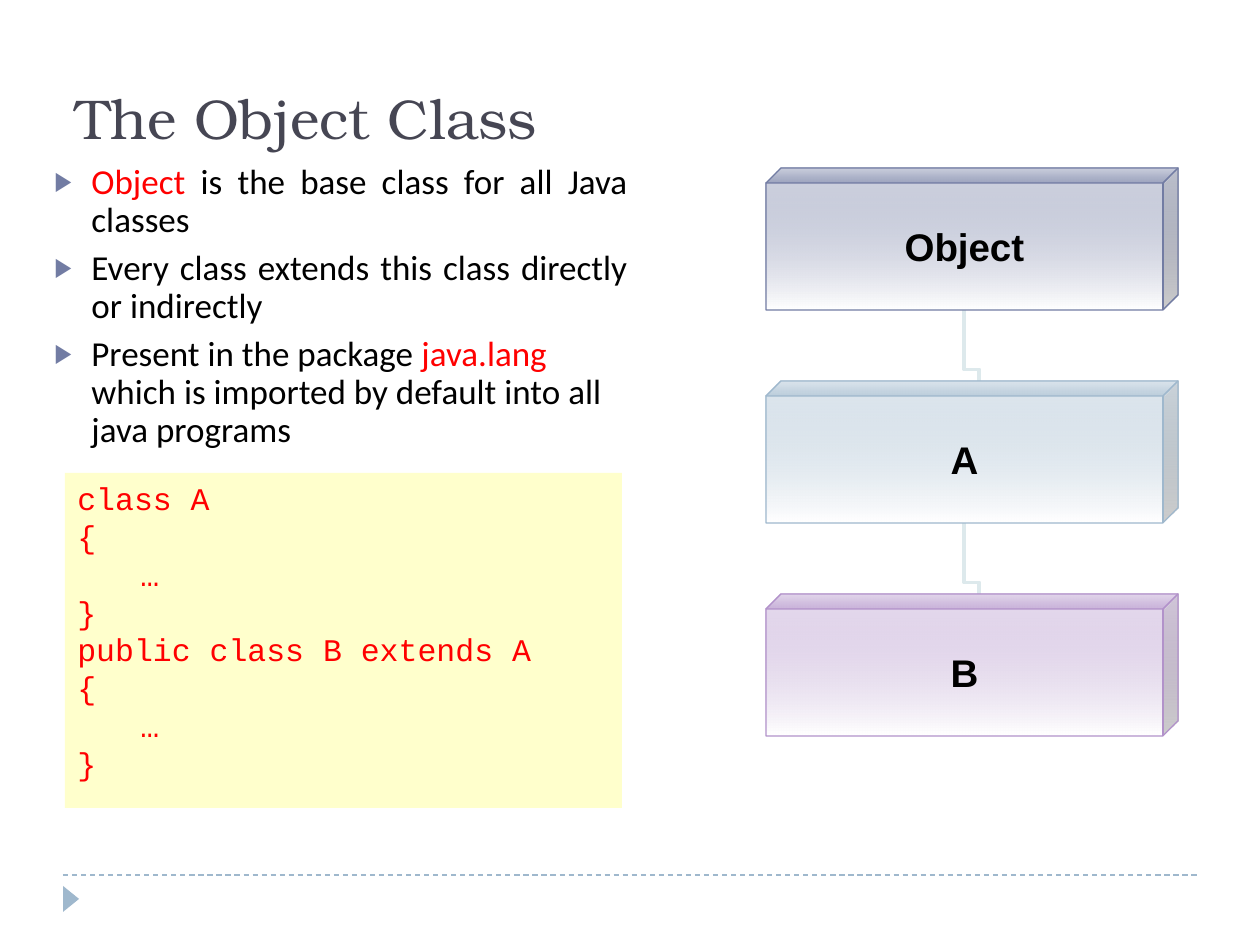
from lxml.etree import SubElement
from pptx import Presentation
from pptx.dml.color import RGBColor
from pptx.enum.dml import MSO_LINE
from pptx.enum.shapes import MSO_CONNECTOR as CONNECTOR, MSO_SHAPE as SHAPE
from pptx.enum.text import MSO_ANCHOR as ANCHOR, PP_ALIGN as ALIGN
from pptx.oxml.ns import qn
from pptx.util import Emu, Pt

PX = 914400 // 126
COLORS = {
    "title": "464653", "text": "000000", "keyword": "FF0000", "bullet": "727CA3",
    "code_bg": "FFFFCC", "footer": "9FB8CD", "link": "DDE9EC", "white": "FFFFFF",
    "object": "727CA3", "a": "9FB8CD", "b": "B292CA",
}

TITLE = "The Object Class"
# Each point: alignment, then (words, colour) runs
POINTS = [
    (ALIGN.JUSTIFY, [("Object", "keyword"), (" is the base class for all Java classes", "text")]),
    (ALIGN.JUSTIFY, [("Every class extends this class directly or indirectly", "text")]),
    (ALIGN.LEFT, [("Present in the package ", "text"), ("java.lang ", "keyword"),
                  ("which is imported by default into all java programs", "text")]),
]
CODE = ["class A", "{", "\t…", "}", "public class B extends A", "{", "\t…", "}"]
HIERARCHY = [("Object", "object"), ("A", "a"), ("B", "b")]

CUBE_LEFT, CUBE_TOP, CUBE_W, CUBE_H, CUBE_PITCH, DEPTH = 766, 168, 412, 142, 213, 15


def px(*lengths):
    return [Emu(round(n * PX)) for n in lengths]


def rgb(name):
    return RGBColor.from_string(COLORS[name])


def write(frame, paragraphs, font, size, bold=False, anchor=ANCHOR.TOP, wrap=True):
    """Fill a frame with (alignment, [(words, colour), ...]) paragraphs."""
    frame.word_wrap = wrap
    frame.vertical_anchor = anchor
    for i, (align, runs) in enumerate(paragraphs):
        paragraph = frame.paragraphs[0] if i == 0 else frame.add_paragraph()
        paragraph.alignment = align
        for words, color in runs:
            run = paragraph.add_run()
            run.text = words
            run.font.name = font
            run.font.size = Pt(size)
            run.font.bold = bold
            run.font.color.rgb = rgb(color)
    return frame


def add_bullet(paragraph):
    paragraph.line_spacing = 0.9
    paragraph.space_before = Pt(6)
    props = paragraph._p.get_or_add_pPr()
    indent = px(37)[0]
    props.set("marL", str(indent))
    props.set("indent", str(-indent))
    bullet_color = SubElement(props, qn("a:buClr"))
    SubElement(bullet_color, qn("a:srgbClr"), val=COLORS["bullet"])
    SubElement(props, qn("a:buSzPct"), val="76000")
    SubElement(props, qn("a:buFont"), typeface="Arial")
    SubElement(props, qn("a:buChar"), char="▶")


def add_shape(shapes, kind, box, fill=None):
    shape = shapes.add_shape(kind, *px(*box))
    shape.shadow.inherit = False
    if fill:
        shape.fill.solid()
        shape.fill.fore_color.rgb = rgb(fill)
        shape.line.fill.background()
    return shape


def add_line(shapes, kind, ends, color, width):
    line = shapes.add_connector(kind, *px(*ends))
    line.line.color.rgb = rgb(color)
    line.line.width = Pt(width)
    SubElement(line._element.spPr, qn("a:effectLst"))
    return line


def add_class_cube(shapes, name, color, top):
    cube = add_shape(shapes, SHAPE.CUBE, (CUBE_LEFT, top, CUBE_W, CUBE_H))
    cube.adjustments[0] = DEPTH / CUBE_H
    cube.fill.gradient()
    cube.fill.gradient_angle = 270
    for stop, position, stop_color in zip(cube.fill.gradient_stops, (0, 1), (color, "white")):
        stop.position = position
        stop.color.rgb = rgb(stop_color)
    tint = next(cube._element.spPr.iter(qn("a:srgbClr")))
    SubElement(tint, qn("a:alpha"), val="40000")
    cube.line.color.rgb = rgb(color)
    cube.line.width = Pt(0.75)
    frame = write(cube.text_frame, [(ALIGN.CENTER, [(name, "text")])], "Arial", 22,
                  bold=True, anchor=ANCHOR.MIDDLE, wrap=False)
    frame.margin_left = frame.margin_top = frame.margin_right = frame.margin_bottom = 0


def add_class_link(shapes, parent_top):
    """Bent line from the top of a child cube up to the bottom of its parent."""
    gap = CUBE_PITCH - CUBE_H
    middle_x = CUBE_LEFT + CUBE_W / 2
    middle_y = parent_top + CUBE_H + gap / 2
    # Laid out sideways, then turned a quarter
    ends = (middle_x + gap / 2, middle_y - DEPTH / 2, middle_x - gap / 2, middle_y + DEPTH / 2)
    link = add_line(shapes, CONNECTOR.ELBOW, ends, "link", 2.25)
    props = link._element.spPr
    props.find(qn("a:xfrm")).set("rot", "5400000")
    geometry = props.find(qn("a:prstGeom"))
    guides = geometry.find(qn("a:avLst"))
    SubElement(guides, qn("a:gd"), name="adj1", fmla="val 16200")


def main():
    deck = Presentation()
    deck.slide_width, deck.slide_height = px(1260, 945)
    shapes = deck.slides.add_slide(deck.slide_layouts[6]).shapes

    footer = add_line(shapes, CONNECTOR.STRAIGHT, (63, 875, 1197, 875), "footer", 0.75)
    footer.line.dash_style = MSO_LINE.DASH
    add_shape(shapes, SHAPE.ISOSCELES_TRIANGLE, (58, 891, 26, 16), "footer").rotation = 90

    title = shapes.add_textbox(*px(63, 21, 1134, 136))
    write(title.text_frame, [(ALIGN.LEFT, [(TITLE, "title")])], "TeX Gyre Bonum", 32,
          anchor=ANCHOR.BOTTOM)

    points = shapes.add_textbox(*px(42, 158, 598, 714))
    for paragraph in write(points.text_frame, POINTS, "Calibri", 20).paragraphs:
        add_bullet(paragraph)

    code = add_shape(shapes, SHAPE.RECTANGLE, (65, 473, 557, 335), "code_bg")
    write(code.text_frame, [(ALIGN.LEFT, [(line, "keyword")]) for line in CODE],
          "Courier New", 18)

    tops = [CUBE_TOP + i * CUBE_PITCH for i in range(len(HIERARCHY))]
    for top in tops[:-1]:
        add_class_link(shapes, top)
    for (name, color), top in zip(HIERARCHY, tops):
        add_class_cube(shapes, name, color, top)

    deck.save("out.pptx")


if __name__ == "__main__":
    main()
